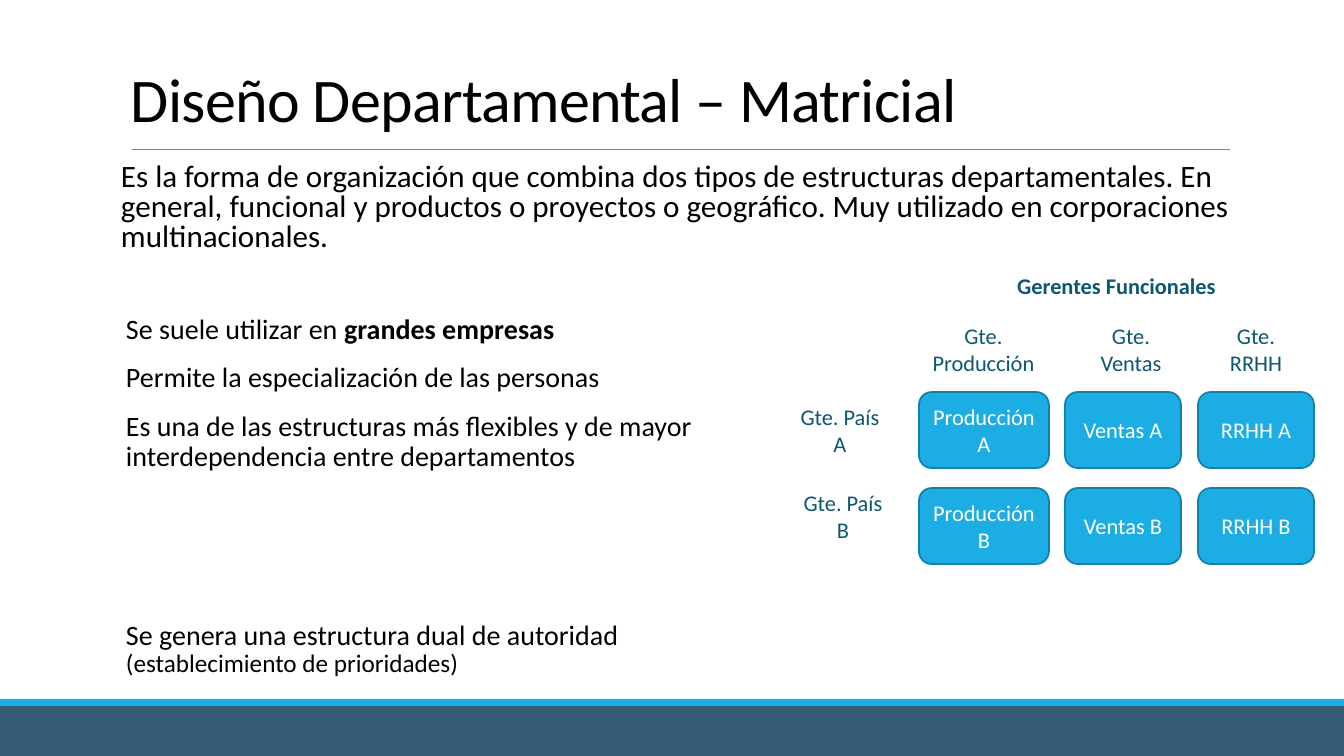
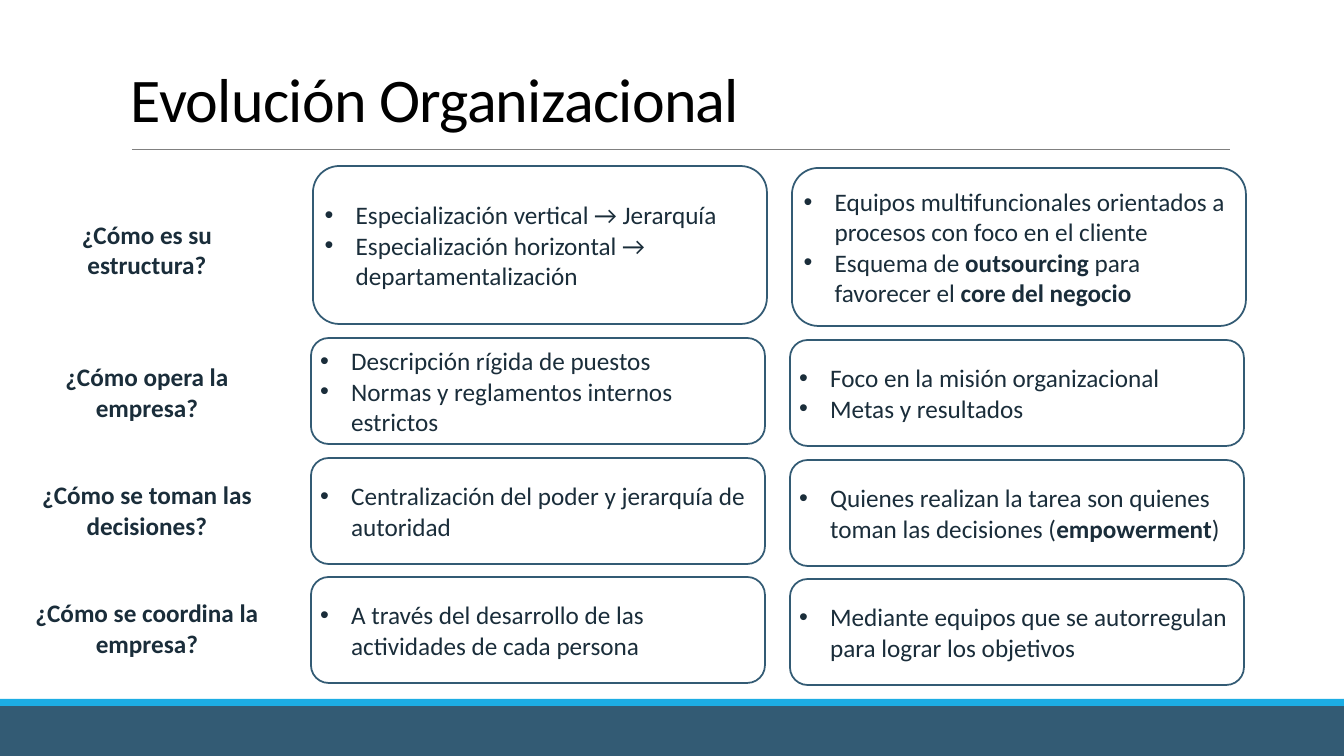
from dataclasses import dataclass, replace
from typing import NamedTuple, Optional

from lxml import etree
from pptx import Presentation
from pptx.dml.color import RGBColor
from pptx.enum.shapes import MSO_CONNECTOR, MSO_SHAPE
from pptx.enum.text import MSO_ANCHOR, MSO_AUTO_SIZE, PP_ALIGN
from pptx.oxml.ns import qn
from pptx.util import Emu, Pt

RECT, ROUND = MSO_SHAPE.RECTANGLE, MSO_SHAPE.ROUNDED_RECTANGLE
LEFT, CENTER = PP_ALIGN.LEFT, PP_ALIGN.CENTER
TOP, MIDDLE, BOTTOM = MSO_ANCHOR.TOP, MSO_ANCHOR.MIDDLE, MSO_ANCHOR.BOTTOM

PX_PER_INCH = 100.8
FONT = "Calibri"
BLACK, WHITE, GREY = "000000", "FFFFFF", "808080"
NAVY, SKY, SKY_EDGE = "335B74", "1CADE4", "1580A9"
TEAL, INK = "0E5772", "1A2D3A"
TITLE_ONLY, TITLE_AND_BODY = 5, 1


class Box(NamedTuple):
    x: int
    y: int
    w: int
    h: int


class Run(NamedTuple):
    text: str
    bold: bool = False
    size: Optional[float] = None


@dataclass(frozen=True)
class Style:
    size: float
    color: str
    bold: bool = False
    align: PP_ALIGN = LEFT
    anchor: MSO_ANCHOR = TOP
    inset: int = 10
    line_spacing: float = 1.0
    before: float = 0
    after: float = 0
    hanging: int = 0


@dataclass(frozen=True)
class Comparison:
    question: str
    question_y: int
    question_h: int
    x: int
    y: int
    h: int
    traditional: list
    modern: list


TITLE = Style(44.3, BLACK, anchor=BOTTOM, line_spacing=0.85)
LEAD = Style(22.2, BLACK, inset=0, line_spacing=0.8, before=11.1, after=1.9)
NOTE = replace(LEAD, size=20, line_spacing=0.9)
LABEL = Style(16, TEAL, align=CENTER, anchor=MIDDLE)
HEADING = replace(LABEL, bold=True)
CELL = replace(LABEL, color=WHITE)
QUESTION = Style(18, INK, bold=True, align=CENTER, anchor=MIDDLE)
ANSWER = Style(18, INK, anchor=MIDDLE, inset=4, hanging=31)

DEPARTMENTS = [  # name, cell x, cell width, manager x, manager width
    ("Producción", 919, 130, 912, 143),
    ("Ventas", 1065, 116, 1073, 116),
    ("RRHH", 1198, 116, 1198, 116),
]
COUNTRIES = [("A", 392, 781, 392), ("B", 488, 784, 478)]  # name, cell y, manager x, y

COMPARISONS = [
    Comparison(
        "¿Cómo es su estructura?", 190, 119, 313, 166, 158,
        ["Especialización vertical → Jerarquía",
         "Especialización horizontal → departamentalización"],
        ["Equipos multifuncionales orientados a procesos con foco en el cliente",
         [Run("Esquema de "), Run("outsourcing", True), Run(" para favorecer el "),
          Run("core del negocio", True)]]),
    Comparison(
        "¿Cómo opera la empresa?", 339, 106, 311, 338, 106,
        ["Descripción rígida de puestos", "Normas y reglamentos internos estrictos"],
        ["Foco en la misión organizacional", "Metas y resultados"]),
    Comparison(
        "¿Cómo se toman las decisiones?", 457, 106, 311, 458, 106,
        ["Centralización del poder y jerarquía de autoridad"],
        [[Run("Quienes realizan la tarea son quienes toman las decisiones ("),
          Run("empowerment", True), Run(")")]]),
    Comparison(
        "¿Cómo se coordina la empresa?", 575, 106, 311, 577, 106,
        ["A través del desarrollo de las actividades de cada persona"],
        ["Mediante equipos que se autorregulan para lograr los objetivos"]),
]


def px(length: int) -> Emu:
    return Emu(round(length * 914400 / PX_PER_INCH))


def rgb(color: str) -> RGBColor:
    return RGBColor.from_string(color)


def place(shape, box: Box) -> None:
    shape.left, shape.top, shape.width, shape.height = map(px, box)


def set_indent(shape, hanging: int) -> None:
    """Give every paragraph a hanging bullet, or none when hanging is 0."""
    for props in shape.element.iter(qn("a:pPr")):
        props.set("marL", str(px(hanging)))
        props.set("indent", str(-px(hanging)))
        defaults = props.find(qn("a:defRPr"))
        if hanging:
            font = etree.Element(qn("a:buFont"), typeface="Arial")
            defaults.addprevious(font)
            defaults.addprevious(etree.Element(qn("a:buChar"), char="•"))
        else:
            defaults.addprevious(etree.Element(qn("a:buNone")))


def write(shape, paragraphs: list, style: Style) -> None:
    """Fill a shape with paragraphs, each a string or a list of runs."""
    frame = shape.text_frame
    frame.word_wrap = True
    frame.auto_size = MSO_AUTO_SIZE.NONE
    frame.vertical_anchor = style.anchor
    frame.margin_left = frame.margin_right = px(style.inset)
    frame.margin_top = frame.margin_bottom = px(5)
    for index, content in enumerate(paragraphs):
        paragraph = frame.add_paragraph() if index else frame.paragraphs[0]
        paragraph.alignment = style.align
        paragraph.line_spacing = style.line_spacing
        paragraph.space_before = Pt(style.before)
        paragraph.space_after = Pt(style.after)
        paragraph.font.name = FONT
        paragraph.font.size = Pt(style.size)
        paragraph.font.bold = style.bold
        paragraph.font.color.rgb = rgb(style.color)
        for part in [Run(content)] if isinstance(content, str) else content:
            run = paragraph.add_run()
            run.text = part.text
            if part.bold:
                run.font.bold = True
            if part.size:
                run.font.size = Pt(part.size)
    set_indent(shape, style.hanging)


def add_box(slide, box: Box, kind=ROUND, fill: str = "", line: str = ""):
    shape = slide.shapes.add_shape(kind, *map(px, box))
    shape.shadow.inherit = False
    if fill:
        shape.fill.solid()
        shape.fill.fore_color.rgb = rgb(fill)
    else:
        shape.fill.background()
    if line:
        shape.line.color.rgb = rgb(line)
        shape.line.width = Pt(1.25)
    else:
        shape.line.fill.background()
    return shape


def add_note(slide, box: Box, paragraphs: list) -> None:
    write(slide.shapes.add_textbox(*map(px, box)), paragraphs, NOTE)


def add_title(slide, text: str, width: int) -> None:
    title = slide.shapes.title
    place(title, Box(121, 31, width, 109))
    write(title, [text], TITLE)
    for defaults in title.element.iter(qn("a:defRPr")):
        defaults.set("spc", "-50")


def decorate_master(prs, slide) -> None:
    """Draw the bands and title rule on a slide, then move them to the master."""
    footer = add_box(slide, Box(0, 706, 1344, 50), RECT, NAVY)
    stripe = add_box(slide, Box(0, 699, 1344, 7), RECT, SKY)
    rule = slide.shapes.add_connector(
        MSO_CONNECTOR.STRAIGHT, px(132), px(149), px(1230), px(149))
    rule.line.color.rgb = rgb(GREY)
    rule.line.width = Pt(0.5)
    etree.SubElement(rule.element.spPr, qn("a:effectLst"))
    for number, shape in enumerate((footer, stripe, rule)):
        next(shape.element.iter(qn("p:cNvPr"))).set("id", str(100 + number))
        prs.slide_master.shapes.element.insert(2 + number, shape.element)


def build_matrix_slide(slide) -> None:
    add_title(slide, "Diseño Departamental – Matricial", 1223)
    lead = slide.placeholders[1]
    place(lead, Box(121, 159, 1156, 110))
    write(lead, ["Es la forma de organización que combina dos tipos de estructuras "
                 "departamentales. En general, funcional y productos o proyectos o "
                 "geográfico. Muy utilizado en corporaciones multinacionales."], LEAD)
    add_note(slide, Box(126, 310, 588, 159), [
        [Run("Se suele utilizar en "), Run("grandes empresas", True)],
        "Permite la especialización de las personas",
        "Es una de las estructuras más flexibles y de mayor interdependencia "
        "entre departamentos"])
    add_note(slide, Box(126, 616, 588, 115), [
        [Run("Se genera una estructura dual de autoridad "),
         Run("(establecimiento de prioridades)", size=18)]])

    write(add_box(slide, Box(994, 260, 245, 51)), ["Gerentes Funcionales"], HEADING)
    for department, x, width, manager_x, manager_width in DEPARTMENTS:
        manager = add_box(slide, Box(manager_x, 311, manager_width, 76))
        write(manager, [f"Gte. {department}"], LABEL)
        for country, y, _, _ in COUNTRIES:
            cell = add_box(slide, Box(x, y, width, 76), fill=SKY, line=SKY_EDGE)
            write(cell, [f"{department} {country}"], CELL)
    for country, _, manager_x, manager_y in COUNTRIES:
        manager = add_box(slide, Box(manager_x, manager_y, 118, 76))
        write(manager, [f"Gte. País {country}"], LABEL)


def build_evolution_slide(slide) -> None:
    add_title(slide, "Evolución Organizacional", 1109)
    for row in COMPARISONS:
        question = add_box(
            slide, Box(17, row.question_y, 260, row.question_h), line=WHITE)
        write(question, [row.question], QUESTION)
        for column, answers in enumerate((row.traditional, row.modern)):
            box = Box(row.x + 479 * column, row.y + 2 * column, 454, row.h)
            write(add_box(slide, box, fill=WHITE, line=NAVY), answers, ANSWER)


def main() -> None:
    prs = Presentation()
    prs.slide_width, prs.slide_height = px(1344), px(756)
    matrix = prs.slides.add_slide(prs.slide_layouts[TITLE_AND_BODY])
    decorate_master(prs, matrix)
    build_matrix_slide(matrix)
    build_evolution_slide(prs.slides.add_slide(prs.slide_layouts[TITLE_ONLY]))
    prs.save("out.pptx")


if __name__ == "__main__":
    main()
